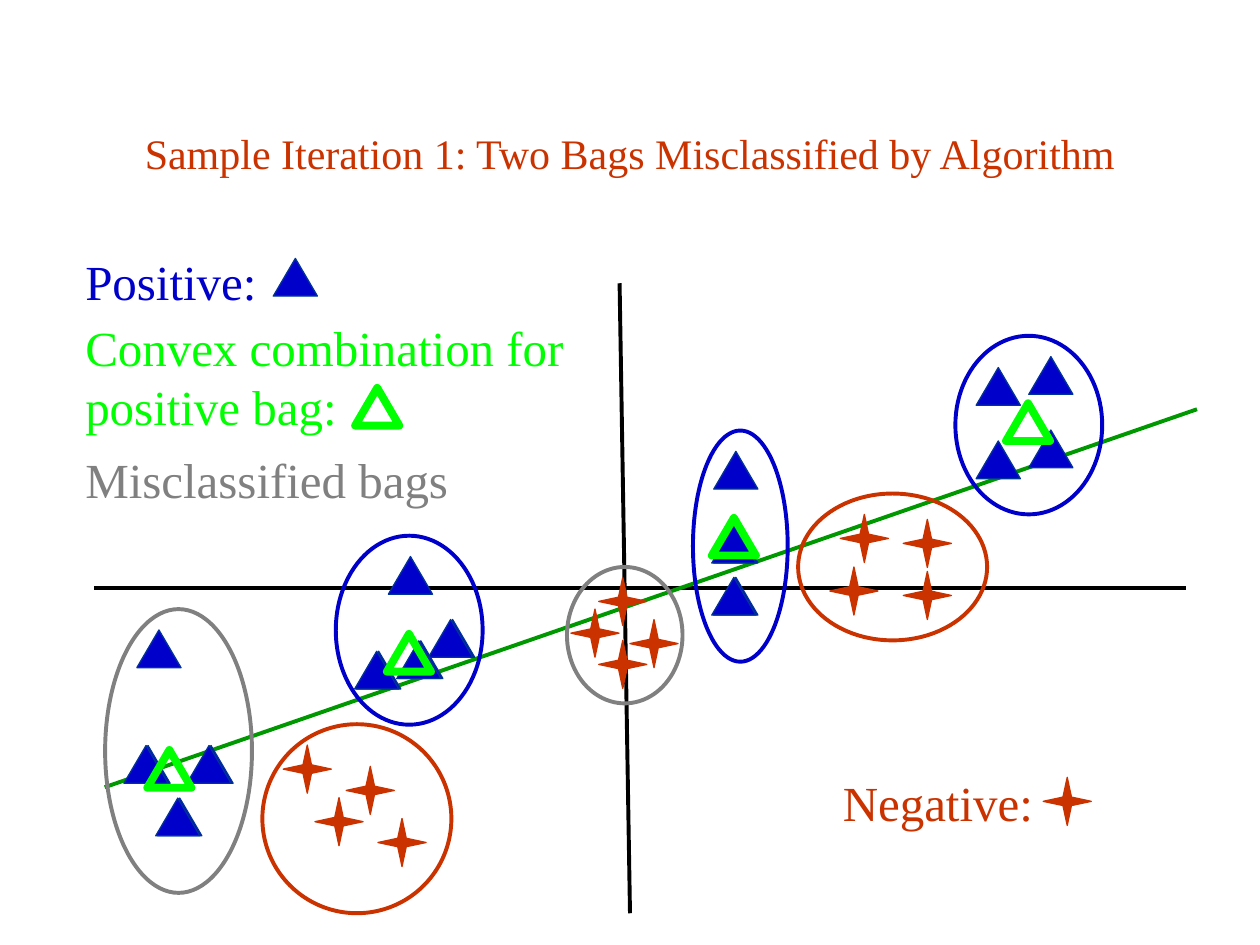
from pptx import Presentation
from pptx.dml.color import RGBColor
from pptx.enum import shapes, text
from pptx.oxml.ns import qn
from pptx.util import Cm, Pt

FONT = "Times New Roman"
BLUE, BLUE_EDGE, RED = "0000CB", "003399", "CA3300"
GREY, LIME, GREEN, BLACK = "808080", "00FF00", "009800", "000000"
TRIANGLE = shapes.MSO_SHAPE.ISOSCELES_TRIANGLE
TWIN_SHIFT = 0.04  # second layer of triangles sits slightly to the left


def rgb(value):
    return RGBColor.from_string(value)


def add_outline(slide, preset, box, edge, width, fill=None):
    mark = slide.shapes.add_shape(preset, *map(Cm, box))
    mark.shadow.inherit = False
    if fill:
        mark.fill.solid()
        mark.fill.fore_color.rgb = rgb(fill)
    else:
        mark.fill.background()
    mark.line.color.rgb = rgb(edge)
    mark.line.width = Pt(width)
    return mark


def positive(slide, x, y):
    add_outline(slide, TRIANGLE, (x, y, 0.89, 0.76), BLUE_EDGE, 0.75, BLUE)


def combination(slide, x, y):
    add_outline(slide, TRIANGLE, (x, y, 0.89, 0.76), LIME, 4.5)


def negative(slide, x, y):
    star = add_outline(slide, shapes.MSO_SHAPE.STAR_4_POINT,
                       (x, y, 0.97, 0.97), RED, 0.75, RED)
    star.adjustments[0] = 0.125


def add_words(frame, words, size, color):
    run = frame.paragraphs[0].add_run()
    run.text = words
    run.font.name = FONT
    run.font.size = Pt(size)
    run.font.color.rgb = rgb(color)


def add_title(slide, box, words):
    title = slide.shapes.title
    title.left, title.top, title.width, title.height = map(Cm, box)
    title.text_frame.vertical_anchor = text.MSO_ANCHOR.MIDDLE
    add_words(title.text_frame, words, 24, RED)
    title.text_frame.paragraphs[0].alignment = text.PP_ALIGN.CENTER


def add_axes(slide, box):
    """Both axes and the separating line, placed from the box corner."""
    left, top, width, height = box
    for x1, y1, x2, y2, color in (
        (0, 6.15, width - 0.22, 6.15, BLACK),
        (10.59, 0, 10.8, height, BLACK),
        (0.21, 10.16, width, 2.54, GREEN),
    ):
        line = slide.shapes.add_connector(
            shapes.MSO_CONNECTOR.STRAIGHT,
            Cm(left + x1), Cm(top + y1), Cm(left + x2), Cm(top + y2))
        line.line.color.rgb = rgb(color)
        line.line.width = Pt(2.25)
        properties = line._element.spPr
        properties.append(properties.makeelement(qn("a:effectLst"), {}))


def add_bag(slide, box, color, member, places, twins=(), center=None):
    """An ellipse with its members; places are offsets from the box corner."""
    left, top = box[:2]
    for dx, dy in [*places, *twins]:
        member(slide, left + dx, top + dy)
    add_outline(slide, shapes.MSO_SHAPE.OVAL, box, color, 2.25)
    for dx, dy in twins:
        member(slide, left + dx - TWIN_SHIFT, top + dy)
    if center:
        combination(slide, left + center[0], top + center[1])


def add_legend(slide, box, words, color, symbol=None, offset=(0, 0), wrap=True):
    label = slide.shapes.add_textbox(*map(Cm, box)).text_frame
    label.word_wrap = wrap
    label.auto_size = text.MSO_AUTO_SIZE.SHAPE_TO_FIT_TEXT
    add_words(label, words, 28, color)
    if symbol:
        symbol(slide, box[0] + offset[0], box[1] + offset[1])


def main():
    deck = Presentation()
    deck.slide_width, deck.slide_height = Cm(25.4), Cm(19.05)
    slide = deck.slides.add_slide(deck.slide_layouts[5])

    add_title(slide, (1.9, 1.7, 21.6, 2.74),
              "Sample Iteration 1: Two Bags Misclassified by Algorithm")
    add_axes(slide, (1.9, 5.71, 22.23, 12.7))

    # Positive bags, the first one misclassified
    add_bag(slide, (2.12, 12.28, 2.96, 5.72), GREY, positive, [(0.64, 0.42)],
            [(0.42, 2.75), (1.69, 2.75), (1.06, 3.81)], (0.85, 2.84))
    add_bag(slide, (6.77, 10.8, 2.96, 3.81), BLUE, positive, [(1.06, 0.42)],
            [(1.27, 2.12), (1.91, 1.69), (0.42, 2.33)], (1.03, 1.98))
    add_bag(slide, (13.97, 8.68, 1.91, 4.66), BLUE, positive, [(0.42, 0.42)],
            [(0.42, 1.91), (0.42, 2.96)], (0.38, 1.76))
    add_bag(slide, (19.26, 6.77, 2.96, 3.6), BLUE, positive,
            [(0.42, 0.64), (1.48, 0.42), (0.42, 2.12), (1.48, 1.9)],
            center=(1.02, 1.36))

    # Negative bags, the second one misclassified
    add_bag(slide, (5.29, 14.6, 3.81, 3.81), RED, negative,
            [(0.42, 0.42), (1.06, 1.48), (2.33, 1.9), (1.69, 0.85)])
    add_bag(slide, (11.43, 11.43, 2.33, 2.75), GREY, negative,
            [(0.64, 0.21), (0.64, 1.48), (1.27, 1.06), (0.08, 0.85)])
    add_bag(slide, (16.09, 9.95, 3.81, 2.96), RED, negative,
            [(0.85, 0.42), (2.12, 0.52), (2.12, 1.57), (0.64, 1.48)])

    # Legend
    add_legend(slide, (1.47, 4.95, 4.06, 1.45), "Positive:", BLUE,
               positive, (4.04, 0.26))
    add_legend(slide, (1.47, 6.27, 11.23, 2.64),
               "Convex combination for positive bag:", LIME,
               combination, (5.69, 1.55))
    add_legend(slide, (1.47, 8.94, 9.53, 1.45), "Misclassified bags", GREY)
    add_legend(slide, (16.74, 15.44, 4.34, 1.45), "Negative:", RED,
               negative, (4.29, 0.23), wrap=False)

    deck.save("out.pptx")


if __name__ == "__main__":
    main()
